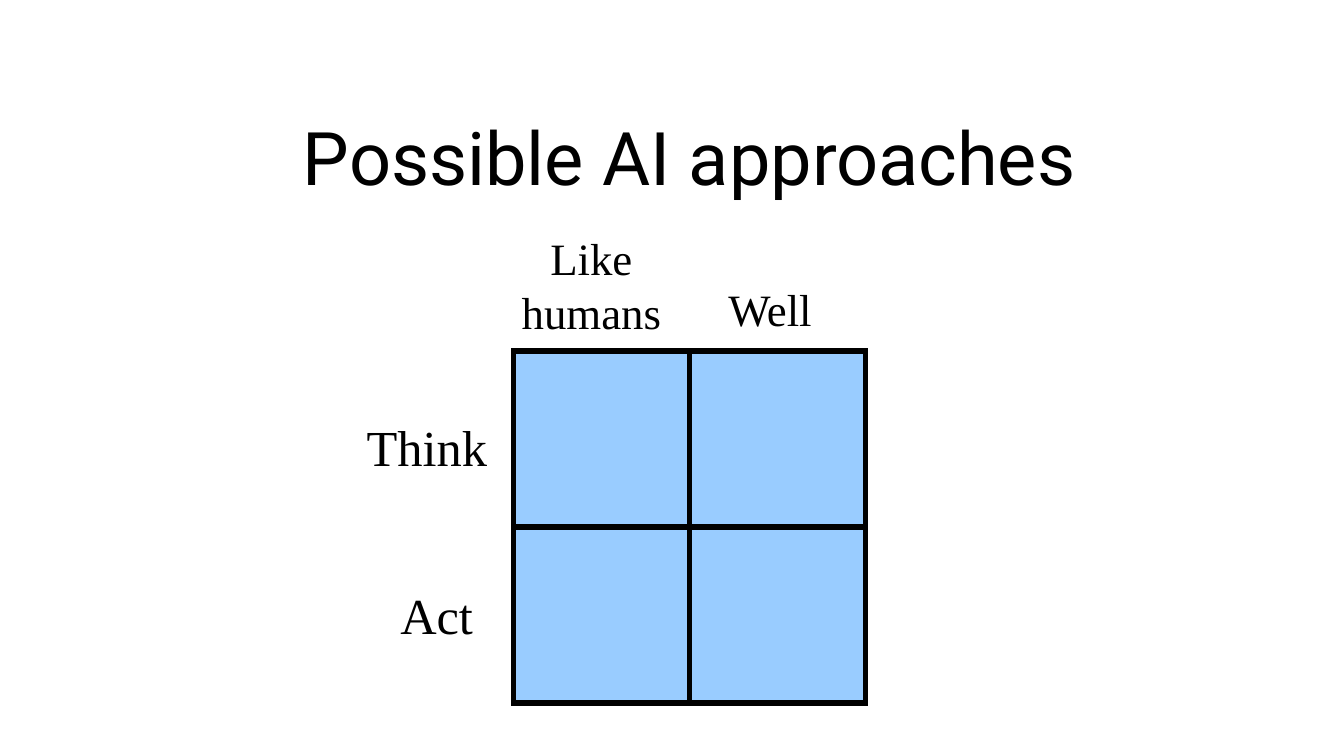
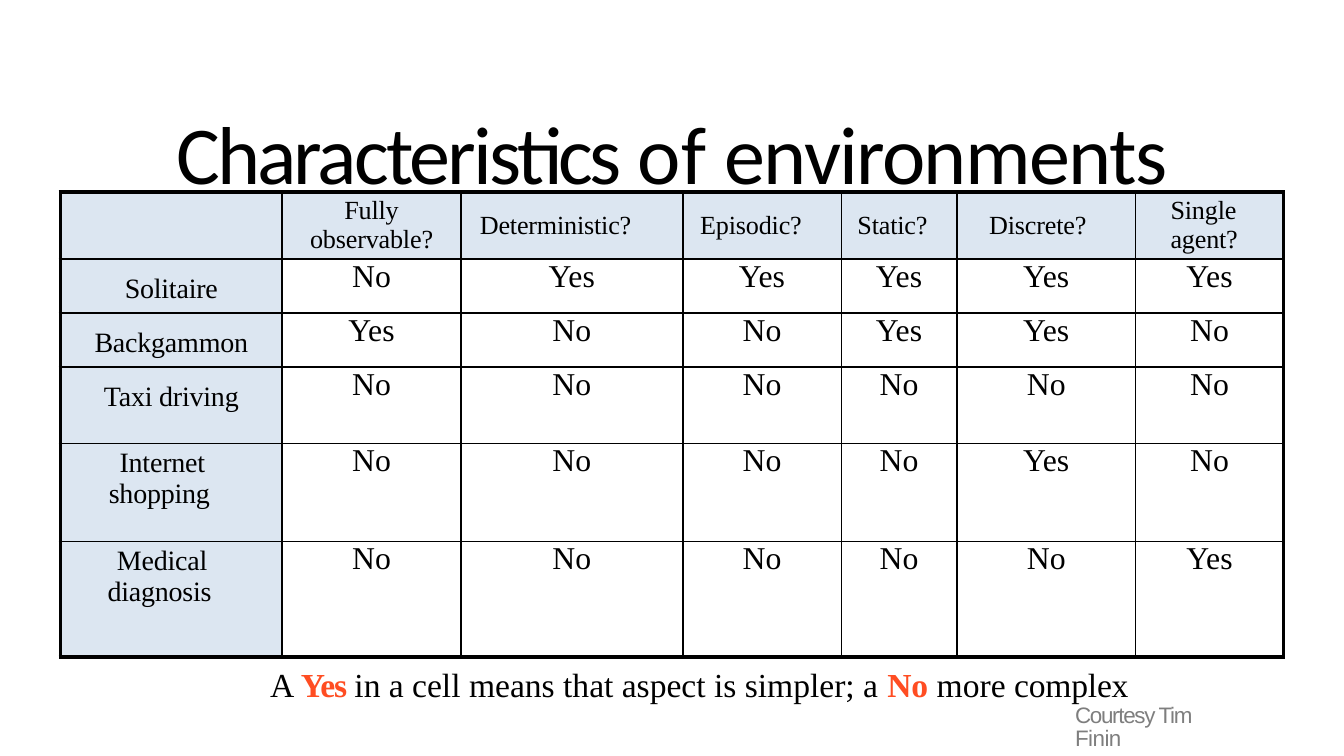
"""Builds two slides on kinds of AI and the environments agents face."""
import pptx
import pptx.util
import pptx.dml.color
import pptx.enum.shapes
import pptx.enum.text
import pptx.oxml.ns
from lxml import etree

Inches, Pt = pptx.util.Inches, pptx.util.Pt
RGBColor = pptx.dml.color.RGBColor
ALIGN, ANCHOR, FIT = (pptx.enum.text.PP_ALIGN, pptx.enum.text.MSO_ANCHOR,
                      pptx.enum.text.MSO_AUTO_SIZE)
tag = pptx.oxml.ns.qn

BLACK = RGBColor(0x00, 0x00, 0x00)
SKY = RGBColor(0x99, 0xCC, 0xFF)
PALE = RGBColor(0xDC, 0xE6, 0xF1)
RED = RGBColor(0xFF, 0x4D, 0x22)
GREY = RGBColor(0x7E, 0x7E, 0x7E)
SERIF = "Times New Roman"
THIN, THICK = 1, 2.25


class Deck:
    """Holds the style, the current slide and the group being drawn on."""

    def __init__(self, width, ratio):
        self.show = pptx.Presentation()
        self.put(self.show, slide_width=Inches(width), slide_height=Inches(width / ratio))

    def put(self, item, **vals):
        """Sets attributes from a dict of format values."""
        for name, val in vals.items():
            setattr(item, name, val)

    def inset(self, item, left, top):
        """Sets left and top margins and clears the others."""
        self.put(item, margin_left=Inches(left), margin_top=Inches(top),
                 margin_right=0, margin_bottom=0)

    def slide(self):
        """Starts a slide that has only a title."""
        self.page = self.show.slides.add_slide(self.show.slide_layouts[5])
        self.pane = self.page.shapes

    def group(self):
        """Sends the next elements into a new group."""
        self.pane = self.page.shapes.add_group_shape().shapes

    def para(self, para, runs, size, font=SERIF, color=BLACK, ind=None, **fmt):
        """Fills a paragraph with (text, spacing, accent colour) runs."""
        self.put(para, **fmt)
        if ind:
            props = para._p.get_or_add_pPr()
            for name, val in zip(("marL", "indent"), ind):
                props.set(name, str(Inches(val)))
        for text, gap, tint in runs:
            run = para.add_run()
            self.put(run, text=text)
            self.put(run.font, name=font, size=Pt(size), bold=tint is not None)
            run.font.color.rgb = tint or color
            if gap:
                run._r.get_or_add_rPr().set("spc", str(round(gap * 100)))

    def title(self, box, runs, size, font, flush=False, **fmt):
        """Moves and formats the title placeholder."""
        shape = self.page.shapes.title
        self.put(shape, **dict(zip(("left", "top", "width", "height"), map(Inches, box))))
        frame = shape.text_frame
        self.put(frame, vertical_anchor=ANCHOR.MIDDLE, word_wrap=True, auto_size=FIT.NONE)
        if flush:
            self.inset(frame, 0, 0.01)
        self.para(frame.paragraphs[0], runs, size, font, alignment=ALIGN.CENTER, **fmt)

    def label(self, box, runs, size, wrap=True, flush=False, **fmt):
        """Adds a text box of one paragraph."""
        frame = self.pane.add_textbox(*map(Inches, box)).text_frame
        self.put(frame, word_wrap=wrap, auto_size=FIT.SHAPE_TO_FIT_TEXT)
        if flush:
            self.inset(frame, 0, 0)
        self.para(frame.paragraphs[0], runs, size, **fmt)

    def square(self, left, top, side):
        """Adds one outlined square with sharp corners."""
        shape = self.pane.add_shape(pptx.enum.shapes.MSO_SHAPE.RECTANGLE,
                                    *map(Inches, (left, top, side, side)))
        shape.shadow.inherit = False
        shape.fill.solid()
        shape.fill.fore_color.rgb = SKY
        shape.line.color.rgb = BLACK
        shape.line.width = Pt(3)
        line = shape._element.spPr.find(tag("a:ln"))
        etree.SubElement(line, tag("a:miter"), lim="800000")

    def table(self, box, cols, rows):
        """Adds a plain table and returns it."""
        grid = self.pane.add_table(len(rows), len(cols), *map(Inches, box)).table
        self.put(grid, first_row=False, horz_banding=False)
        for parts, sizes, name in ((grid.columns, cols, "width"),
                                   (grid.rows, rows, "height")):
            for part, size in zip(parts, sizes):
                self.put(part, **{name: Inches(size)})
        for r in range(len(rows)):
            for c in range(len(cols)):
                edges = {"L": c == 0, "R": c == len(cols) - 1,
                         "T": r == 0, "B": r == len(rows) - 1}
                self.frame(grid.cell(r, c), edges, r == 0 or c == 0)
        return grid

    def frame(self, cell, edges, head):
        """Draws the borders and the fill of a cell."""
        props = cell._tc.get_or_add_tcPr()
        for side, outer in edges.items():
            line = etree.SubElement(props, tag("a:ln" + side),
                                    w=str(Pt(THICK if outer else THIN)))
            fill = etree.SubElement(line, tag("a:solidFill"))
            etree.SubElement(fill, tag("a:srgbClr"), val=str(BLACK))
        if head:
            cell.fill.solid()
            cell.fill.fore_color.rgb = PALE
        else:
            cell.fill.background()

    def cell(self, cell, text, size, gap=0, top=0, before=0, inds=()):
        """Writes lines in a cell, centred unless indents are given."""
        self.inset(cell, 0, top)
        frame = cell.text_frame
        for i, line in enumerate(text.split("\n")):
            para = frame.add_paragraph() if i else frame.paragraphs[0]
            self.para(para, [(line, gap, None)], size,
                      ind=inds[i] if inds else None,
                      alignment=ALIGN.LEFT if inds else ALIGN.CENTER,
                      space_before=Pt(0.1 if i else before))


deck = Deck(10, 16 / 9)

deck.slide()
deck.title((1.94, 0.69, 6.38, 0.94), [("Possible AI approaches", 0, None)], 39.6, "Roboto")
deck.group()
SIDE = 1.31
for row in range(2):
    for col in range(2):
        deck.square(3.82 + col * SIDE, 2.61 + row * SIDE, SIDE)
for text, box in (("Think", (2.63, 3.05, 1.11, 0.56)), ("Act", (2.88, 4.3, 0.75, 0.56))):
    deck.label(box, [(text, 0, None)], 27, wrap=False)
for text, box in (("Like humans", (3.67, 1.67, 1.46, 0.91)), ("Well", (5, 2.05, 1.46, 0.51))):
    deck.label(box, [(text, 0, None)], 24, alignment=ALIGN.CENTER)

deck.slide()
deck.label((1.56, 4.96, 6.87, 0.28),
           [("A ", 0, None), ("Yes ", -0.6, RED),
            ("in a cell means that aspect is simpler; a ", 0, None),
            ("No ", 0, RED), ("more ", 0, None), ("complex", -0.1, None)],
           18, flush=True, ind=(0.45, 0), line_spacing=Pt(20.4))
deck.title((1.21, 0.75, 7.57, 0.75),
           [("Characteristics ", -1.6, None), ("of ", 0, None), ("environments", -0.9, None)],
           44, "Calibri", flush=True, ind=(0.01, 0), space_before=Pt(0.8))

LOW = {"top": 0.14, "before": 13.8}
MID = {"top": 0.11, "before": 10.5}
HIGH = {"top": 0.03, "before": 3}
HEADS = [
    ("Fully\nobservable?", HIGH, ()),
    ("Deterministic?", LOW, [(0.14, 0)]),
    ("Episodic?", LOW, [(0.13, 0)]),
    ("Static?", LOW, [(0.12, 0)]),
    ("Discrete?", LOW, [(0.24, 0)]),
    ("Single\nagent?", HIGH, [(0.26, 0)] * 2),
]
TASKS = [
    ("Solitaire", MID, (), "No Yes Yes Yes Yes Yes"),
    ("Backgammon", MID, (), "Yes No No Yes Yes No"),
    ("Taxi driving", MID, (), "No No No No No No"),
    ("Internet\nshopping", HIGH, [(0.44, 0), (0.36, 0)], "No No No No Yes No"),
    ("Medical diagnosis", HIGH, [(0.35, 0.07)], "No No No No No Yes"),
]
grid = deck.table((0.45, 1.43, 9.09, 3.45), (1.65, 1.33, 1.65, 1.18, 0.86, 1.33, 1.1),
                  (0.44, 0.4, 0.4, 0.57, 0.73, 0.86))
for c, (text, place, inds) in enumerate(HEADS, 1):
    deck.cell(grid.cell(0, c), text, 14, -0.1, inds=inds, **place)
for r, (text, place, inds, marks) in enumerate(TASKS, 1):
    deck.cell(grid.cell(r, 0), text, 15, -0.1, inds=inds, **place)
    for c, mark in enumerate(marks.split(), 1):
        deck.cell(grid.cell(r, c), mark, 17)

deck.label((7.99, 5.25, 1.22, 0.17), [("Courtesy Tim ", -0.7, None), ("Finin", -0.3, None)],
           12, flush=True, font="Arial", color=GREY, ind=(0.01, 0), line_spacing=Pt(12.1))

deck.show.save("out.pptx")
